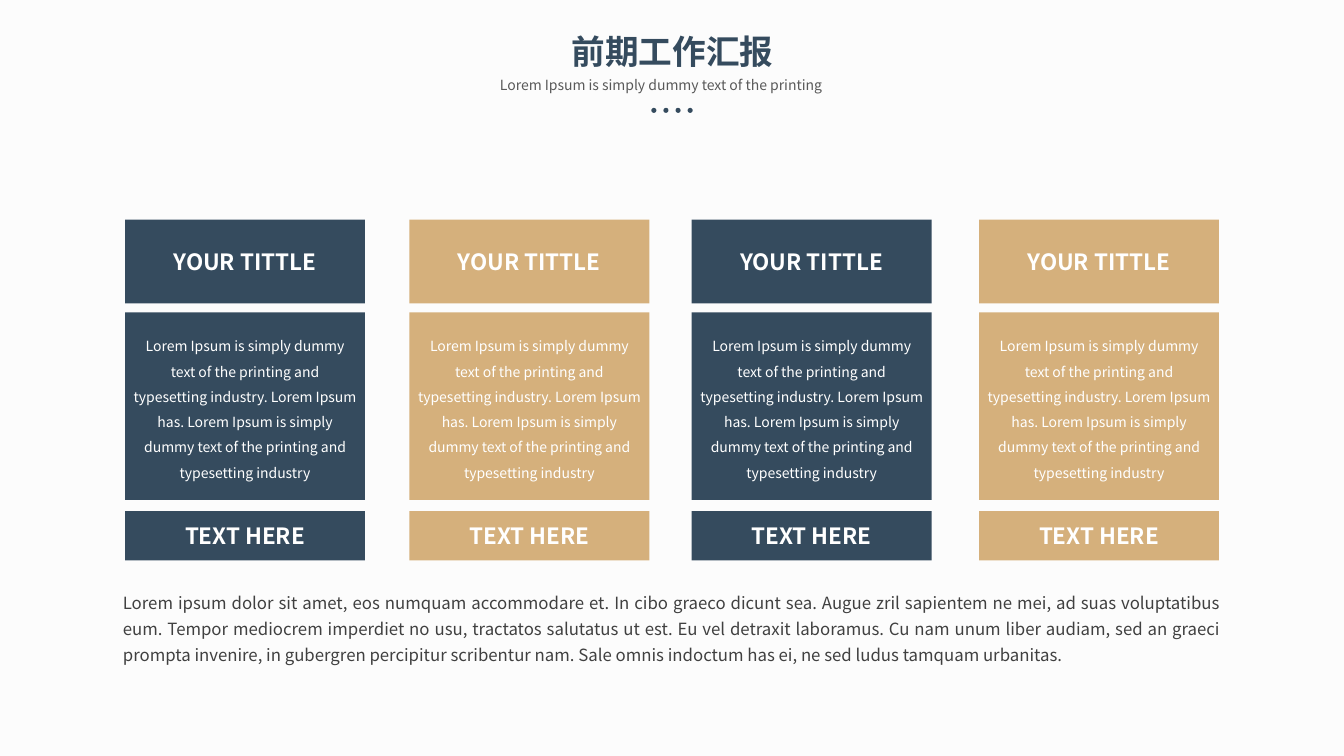
from lxml import etree
from pptx import Presentation
from pptx import util as u
from pptx.dml.color import RGBColor
from pptx.enum import shapes, text
from pptx.oxml.ns import qn

FONT = "Noto Sans CJK SC"
NAVY, GOLD, WHITE = "354B5E", "D5B07C", "FFFFFF"
CENTER, LEFT, JUSTIFY = text.PP_ALIGN.CENTER, text.PP_ALIGN.LEFT, text.PP_ALIGN.JUSTIFY

TITLE = "前期工作汇报"
SUBTITLE = "Lorem Ipsum is simply dummy text of the printing"
CARD_HEAD = "YOUR TITTLE"
CARD_BODY = (
    "Lorem Ipsum is simply dummy text of the printing and typesetting industry. "
    "Lorem Ipsum has. Lorem Ipsum is simply dummy text of the printing and "
    "typesetting industry"
)
CARD_FOOT = "TEXT HERE"
SUMMARY = (
    "Lorem ipsum dolor sit amet, eos numquam accommodare et. In cibo graeco dicunt sea. "
    "Augue zril sapientem ne mei, ad suas voluptatibus eum. Tempor mediocrem imperdiet no "
    "usu, tractatos salutatus ut est. Eu vel detraxit laboramus. Cu nam unum liber audiam, "
    "sed an graeci prompta invenire, in gubergren percipitur scribentur nam. Sale omnis "
    "indoctum has ei, ne sed ludus tamquam urbanitas."
)
CARDS = [(1.24, NAVY), (4.06, GOLD), (6.86, NAVY), (9.71, GOLD)]
CARD_WIDTH = 2.38
PANELS = [(2.18, 0.83), (3.1, 1.86), (5.07, 0.49)]
LABELS = [
    (CARD_HEAD, 2.41, 2.14, 0.37, 16, True, 1),
    (CARD_BODY, 3.22, 2.41, 1.59, 10, False, 1.5),
    (CARD_FOOT, 5.13, 2.14, 0.37, 16, True, 1),
]
DOT_COUNT, DOT_LEFT, DOT_TOP, DOT_SIZE, DOT_STEP = 4, 6.46, 1.07, 0.05, 0.12


def color(value):
    return RGBColor.from_string(value)


def add_block(page, kind, left, top, width, height, fill):
    shape = page.shapes.add_shape(kind, *map(u.Inches, (left, top, width, height)))
    shape.shadow.inherit = False
    shape.fill.solid()
    shape.fill.fore_color.rgb = color(fill)
    shape.line.fill.background()


def add_text(page, words, left, top, width, height, size, ink,
             bold=False, align=CENTER, spacing=1, wrap=True):
    box = page.shapes.add_textbox(*map(u.Inches, (left, top, width, height)))
    frame = box.text_frame
    frame.word_wrap = wrap
    frame.auto_size = text.MSO_AUTO_SIZE.SHAPE_TO_FIT_TEXT
    para = frame.paragraphs[0]
    para.alignment = align
    para.line_spacing = float(spacing)
    span = para.add_run()
    span.text = words
    font = span.font
    font.name, font.size, font.bold = FONT, u.Pt(size), bold
    font.color.rgb = color(ink)
    east_asian = etree.SubElement(span._r.get_or_add_rPr(), qn("a:ea"))
    east_asian.set("typeface", FONT)


def main():
    deck = Presentation()
    deck.slide_width, deck.slide_height = u.Inches(13.33), u.Inches(7.5)
    page = deck.slides.add_slide(deck.slide_layouts[6])
    page.background.fill.solid()
    page.background.fill.fore_color.rgb = color("FCFCFC")

    for left, fill in CARDS:
        for top, height in PANELS:
            add_block(page, shapes.MSO_SHAPE.RECTANGLE, left, top, CARD_WIDTH, height, fill)
        for words, top, width, height, size, bold, spacing in LABELS:
            label_left = left + (CARD_WIDTH - width) / 2
            add_text(page, words, label_left, top, width, height, size, WHITE,
                     bold=bold, spacing=spacing)

    add_text(page, SUMMARY, 1.12, 5.77, 11.09, 1.15, 12, "404040",
             align=JUSTIFY, spacing=1.3)
    add_text(page, TITLE, 4.31, 0.26, 4.72, 0.5, 24, NAVY, bold=True)
    add_text(page, SUBTITLE, 4.86, 0.71, 3.61, 0.27, 10, "595959", align=LEFT, wrap=False)

    for index in range(DOT_COUNT):
        add_block(page, shapes.MSO_SHAPE.OVAL, DOT_LEFT + index * DOT_STEP, DOT_TOP,
                  DOT_SIZE, DOT_SIZE, NAVY)

    deck.save("out.pptx")


if __name__ == "__main__":
    main()
